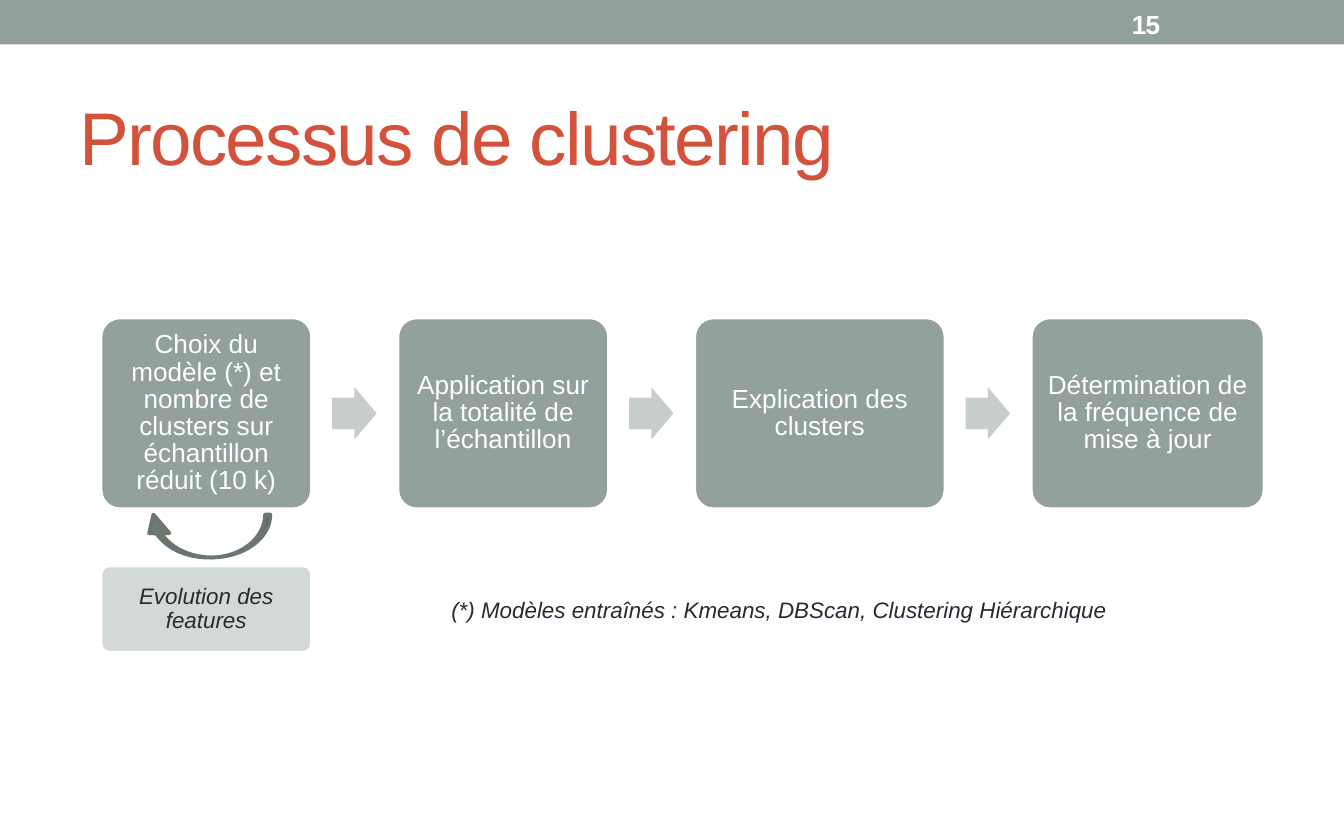
import math

import pptx
import pptx.dml.color
import pptx.enum.shapes
import pptx.enum.text
import pptx.util

Cm, Pt = pptx.util.Cm, pptx.util.Pt
SHAPE = pptx.enum.shapes.MSO_SHAPE
ALIGN = pptx.enum.text.PP_ALIGN
ANCHOR = pptx.enum.text.MSO_ANCHOR

SAGE, PALE, ARROW = "92A199", "D3DAD5", "C7CEC9"
RED, INK, WHITE = "D2523B", "292934", "FFFFFF"


def rgb(color):
    return pptx.dml.color.RGBColor.from_string(color)


def write(tf, text, size=14, color=WHITE, bold=False, italic=False,
          align=ALIGN.LEFT, leading=None, tracking=0, inset=0):
    """Fill a text frame with one formatted paragraph."""
    tf.word_wrap = True
    tf.margin_left = tf.margin_right = Cm(inset)
    tf.margin_top = tf.margin_bottom = 0
    p = tf.paragraphs[0]
    p.alignment = align
    if leading:
        p.line_spacing = Pt(leading)
    r = p.add_run()
    r.text = text
    f = r.font
    f.name, f.size, f.bold, f.italic = "Arial", Pt(size), bold, italic
    f.color.rgb = rgb(color)
    if tracking:
        r._r.get_or_add_rPr().set("spc", str(round(tracking * 100)))


def arc(cx, cy, rx, ry, start, end, steps=16):
    """Points along an ellipse, angles in degrees clockwise from the right."""
    angles = [math.radians(start + (end - start) * i / steps) for i in range(steps + 1)]
    return [(cx + rx * math.cos(a), cy + ry * math.sin(a)) for a in angles]


class Deck:
    """Current slide and its style; all positions in centimetres."""
    line_width = 2.08

    def __init__(self, width, height):
        self.prs = pptx.Presentation()
        self.prs.slide_width, self.prs.slide_height = Cm(width), Cm(height)
        self.s = self.prs.slides.add_slide(self.prs.slide_layouts[6])

    def paint(self, sp, fill, line=None):
        sp.shadow.inherit = False
        sp.fill.solid()
        sp.fill.fore_color.rgb = rgb(fill)
        if line:
            sp.line.color.rgb = rgb(line)
            sp.line.width = Pt(self.line_width)
        else:
            sp.line.fill.background()
        return sp

    def shape(self, kind, x, y, w, h, fill, line=None, adjust=()):
        sp = self.s.shapes.add_shape(kind, Cm(x), Cm(y), Cm(w), Cm(h))
        for i, value in enumerate(adjust):
            sp.adjustments[i] = value
        return self.paint(sp, fill, line)

    def box(self, x, y, w, h, text, fill=SAGE, **fmt):
        sp = self.shape(SHAPE.ROUNDED_RECTANGLE, x, y, w, h, fill, WHITE, [0.1])
        sp.text_frame.vertical_anchor = ANCHOR.MIDDLE
        write(sp.text_frame, text, align=ALIGN.CENTER, inset=0.15, **fmt)

    def text(self, x, y, w, h, text, **fmt):
        sp = self.s.shapes.add_textbox(Cm(x), Cm(y), Cm(w), Cm(h))
        write(sp.text_frame, text, **fmt)

    def outline(self, points, fill, line):
        pts = [(Cm(x), Cm(y)) for x, y in points]
        fb = self.s.shapes.build_freeform(*pts[0], scale=1.0)
        fb.add_line_segments(pts[1:], close=True)
        self.paint(fb.convert_to_shape(), fill, line)


def main():
    d = Deck(25.4, 15.88)

    # Header band, page number and title
    d.shape(SHAPE.RECTANGLE, 0, 0, 25.4, 0.84, SAGE)
    d.text(21.39, 0.16, 0.8, 0.6, "15", bold=True, tracking=-0.3)
    d.text(1.5, 1.72, 22.4, 1.7, "Processus de clustering",
           size=40, color=RED, tracking=-0.9)

    # Process steps, with an arrow in each gap
    steps = [
        (4.0, "Choix du modèle (*) et nombre de clusters sur échantillon réduit (10 k)"),
        (4.0, "Application sur la totalité de l’échantillon"),
        (4.75, "Explication des clusters"),
        (4.42, "Détermination de la fréquence de mise à jour"),
    ]
    left, top, height, gap = 1.9, 6.0, 3.63, 1.61
    arrow_w, arrow_h = 0.84, 0.99
    x = left
    for i, (width, label) in enumerate(steps):
        if i:
            d.shape(SHAPE.RIGHT_ARROW, x - gap + 0.38, top + (height - arrow_h) / 2,
                    arrow_w, arrow_h, ARROW, adjust=[0.6, 0.5])
        d.box(x, top, width, height, label, leading=14.5)
        x += width + gap

    # Feedback under the first step
    d.box(left, 10.69, 4.0, 1.65, "Evolution des features", fill=PALE,
          size=12, color=INK, italic=True, leading=13)

    # Curved return arrow: tail, then head
    y, ry = 9.73, 0.81
    tail = arc(3.99, y, 1.12, ry, 0, 90) + arc(3.99, y, 1.02, ry, 90, 0)
    head = ([(3.2, 10.08), (2.9, y), (2.82, 10.08)]
            + arc(3.94, y, 1.09, ry, 154, 90) + arc(4.01, y, 1.07, ry, 90, 154))
    d.outline(tail, "55635C", "6B766E")
    d.outline(head, "6B7C71", "6B766E")

    # Footnote
    d.text(8.53, 11.27, 12.8, 0.53,
           "(*) Modèles entraînés : Kmeans, DBScan, Clustering Hiérarchique",
           size=12, color=INK, italic=True)

    d.prs.save("out.pptx")


if __name__ == "__main__":
    main()
